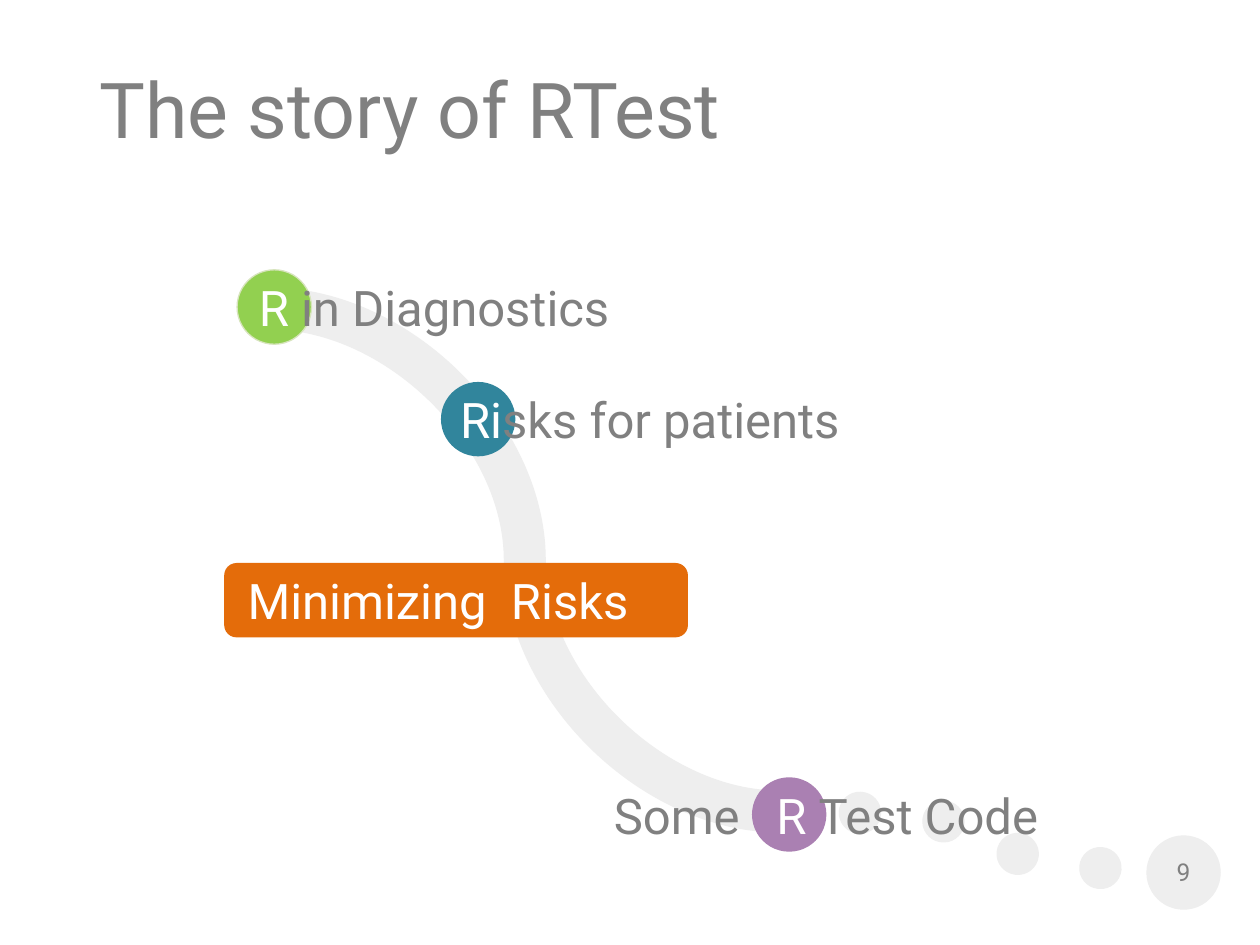
import pptx
import pptx.dml.color
import pptx.enum.dml
import pptx.enum.shapes
import pptx.enum.text
import pptx.oxml.ns
import pptx.util
from lxml import etree

Cm, Pt = pptx.util.Cm, pptx.util.Pt
Shape = pptx.enum.shapes.MSO_SHAPE
Align = pptx.enum.text.PP_ALIGN
Dash = pptx.enum.dml.MSO_LINE

COLORS = {
    "text": "808080", "white": "FFFFFF", "path": "EEEEEE",
    "green": "92D050", "green_edge": "D7E4BD", "teal": "31859C",
    "orange": "E46C0A", "purple": "AA80B2",
}
DOT = 1.5                 # diameter of each station and height of the bar
LABEL = (10.24, 2.9)      # width and height of a station label


class StorySlide:
    font = "Roboto"

    def __init__(self, prs):
        self.slide = prs.slides.add_slide(prs.slide_layouts[5])

    def color(self, name):
        return pptx.dml.color.RGBColor.from_string(COLORS[name])

    def style(self, font, size, color=None):
        font.name, font.size = self.font, Pt(size)
        if color:
            font.color.rgb = self.color(color)

    def title(self, text, left, top, width, height):
        title = self.slide.shapes.title
        title.left, title.top, title.width, title.height = map(Cm, (left, top, width, height))
        title.text_frame.text = text
        paragraph = title.text_frame.paragraphs[0]
        paragraph.alignment = Align.LEFT
        self.style(paragraph.font, 44, "text")

    def block(self, kind, left, top, fill, width=DOT, edge=None):
        block = self.slide.shapes.add_shape(kind, Cm(left), Cm(top), Cm(width), Cm(DOT))
        block.shadow.inherit = False
        block.fill.solid()
        block.fill.fore_color.rgb = self.color(fill)
        if edge:
            block.line.color.rgb = self.color(edge)
            block.line.width = Pt(0.75)
        else:
            block.line.fill.background()

    def curve(self, start, end, dash=Dash.SOLID):
        curve = self.slide.shapes.add_connector(
            pptx.enum.shapes.MSO_CONNECTOR.CURVE, *map(Cm, start + end))
        curve.line.color.rgb = self.color("path")
        curve.line.width = Pt(24)
        curve.line.dash_style = dash
        if dash != Dash.SOLID:
            curve.line._get_or_add_ln().set("cap", "rnd")
        etree.SubElement(curve._element.spPr, pptx.oxml.ns.qn("a:effectLst"))

    def label(self, left, middle, parts, size=28, box=LABEL):
        """Centre (text, colour, extra spacing in points) parts on one line."""
        width, height = box
        label = self.slide.shapes.add_textbox(
            Cm(left), Cm(middle - height / 2), Cm(width), Cm(height))
        frame = label.text_frame
        frame.word_wrap = True
        frame.vertical_anchor = pptx.enum.text.MSO_ANCHOR.MIDDLE
        paragraph = frame.paragraphs[0]
        paragraph.alignment = Align.CENTER
        self.style(paragraph.font, size)
        for text, color, spacing in parts:
            run = paragraph.add_run()
            run.text = text
            run.font.color.rgb = self.color(color)
            if spacing:
                run.font._element.set("spc", str(spacing * 100))


def main():
    prs = pptx.Presentation()
    prs.slide_width, prs.slide_height = Cm(25.4), Cm(19.05)
    story = StorySlide(prs)
    story.title("The story of RTest", 1.75, 1.02, 21.9, 2.29)

    # Path leading to the page number
    story.block(Shape.OVAL, 23.11, 16.84, "path")
    story.curve((5.44, 6.22), (15.72, 16.36))
    story.curve((23.88, 17.58), (16.38, 16.36), Dash.ROUND_DOT)
    story.label(23.11, 17.58, [("9", "text", 0)], 14, (DOT, 1.02))

    # Stations: shape, left, top, fill, width, edge, label left, label parts
    stations = [
        (Shape.OVAL, 4.78, 5.44, "green", DOT, "green_edge", 3.63,
         [("R", "white", 0), (" in Diagnostics", "text", 0)]),
        (Shape.OVAL, 8.89, 7.7, "teal", DOT, None, 7.98,
         [("Ri", "white", 0), ("sks for patients", "text", 0)]),
        (Shape.ROUNDED_RECTANGLE, 4.52, 11.35, "orange", 9.35, None, 3.71,
         [("Minimizing", "white", 0), (" ", "white", 7), ("Risks", "white", 0)]),
        (Shape.OVAL, 15.16, 15.67, "purple", DOT, None, 11.53,
         [("Some", "text", 0), (" ", "text", 14), ("R ", "white", 0),
          ("Test Code", "text", 0)]),
    ]
    for kind, left, top, fill, width, edge, label_left, parts in stations:
        story.block(kind, left, top, fill, width, edge)
        story.label(label_left, top + DOT / 2, parts)

    prs.save("out.pptx")


if __name__ == "__main__":
    main()
